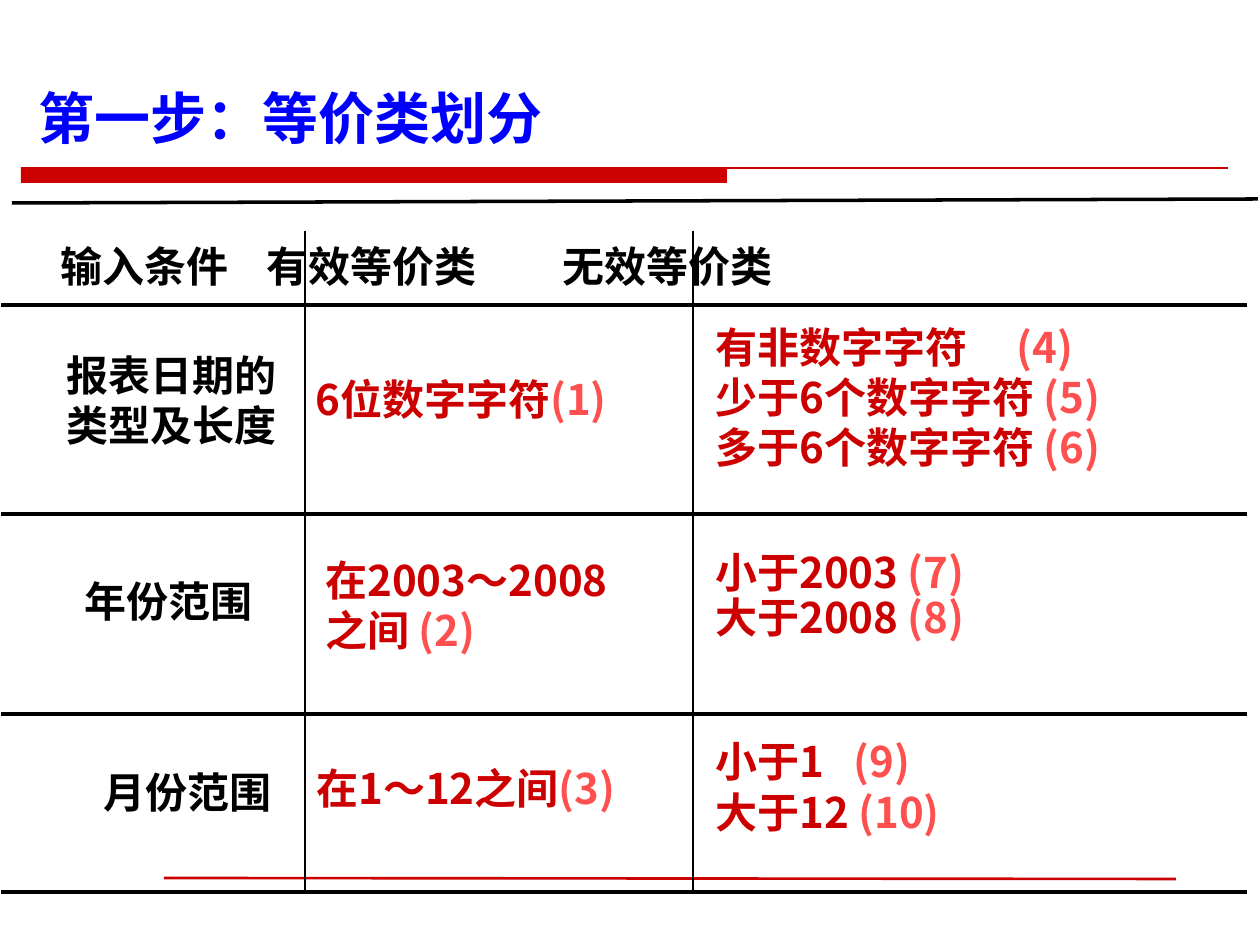
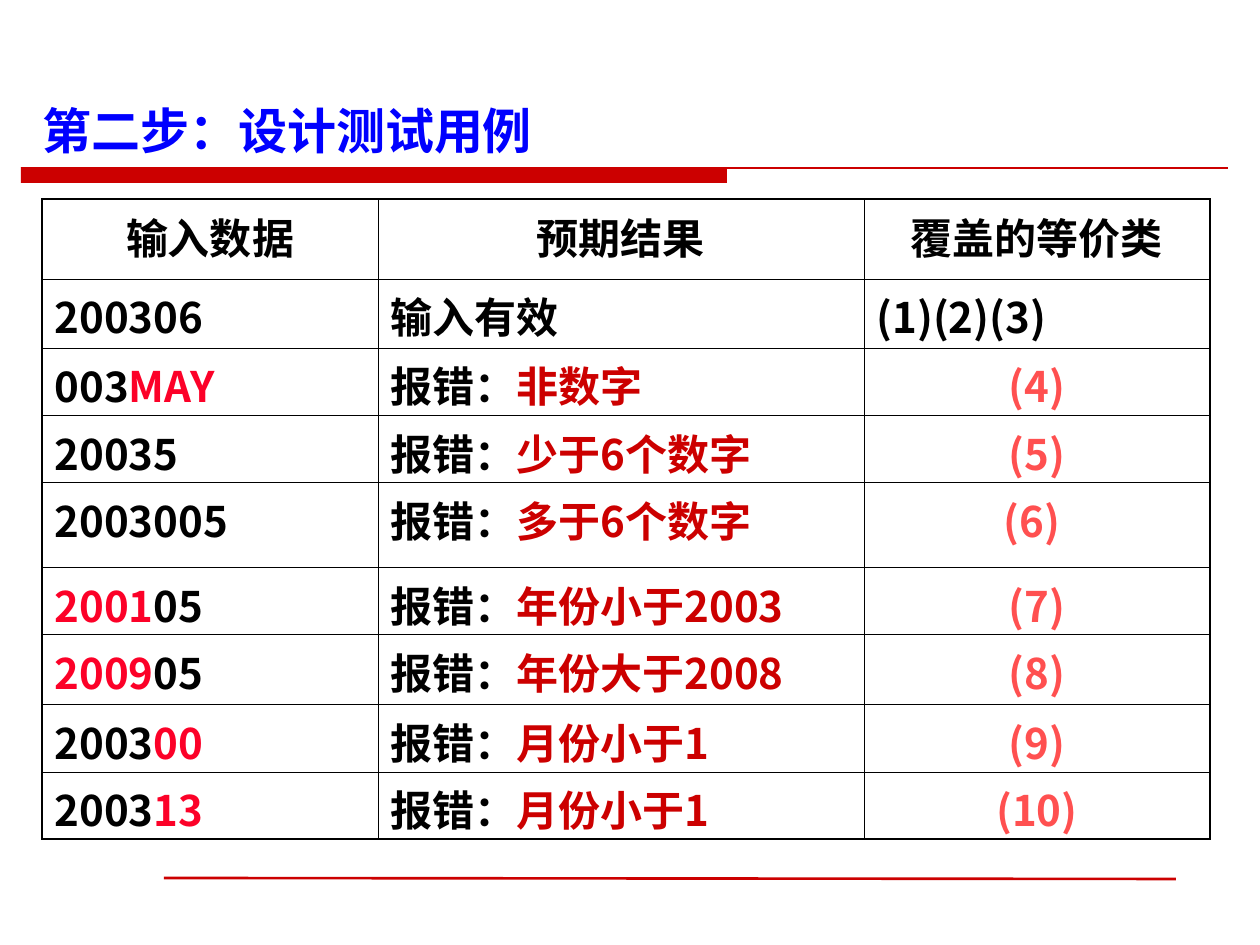
from lxml import etree
from pptx import Presentation
from pptx.dml.color import RGBColor
from pptx.enum.shapes import MSO_CONNECTOR as Connector, MSO_SHAPE as Shape
from pptx.enum.text import MSO_ANCHOR as Anchor, PP_ALIGN as Align
from pptx.oxml.ns import qn
from pptx.util import Emu, Inches, Pt

PX_PER_INCH = 126
SANS, COMIC = "Noto Sans CJK SC", "Comic Neue"
BLACK, BLUE, RED, CORAL, CRIMSON = "000000", "0000FF", "CC0000", "FF5050", "FC0128"
TITLE_ONLY = 5
NO_STYLE = "{2D5ABB26-0587-4C30-8999-92F81FD0307C}"

# Each block: left, top, width, paragraphs of (text, colour) spans
CONDITIONS = [
    (54, 343, 240, [[("报表日期的", BLACK)], [("类型及长度", BLACK)]]),
    (72, 569, 200, [[("年份范围", BLACK)]]),
    (91, 760, 200, [[("月份范围", BLACK)]]),
]
VALID_CLASSES = [
    (303, 367, 443, [[("6位数字字符", RED), ("(1)", CORAL)]]),
    (313, 548, 390, [[("在2003～2008", RED)], [("之间 ", RED), ("(2)", CORAL)]]),
    (304, 756, 400, [[("在1～12之间", RED), ("(3)", CORAL)]]),
]

TEST_CASES = [
    ([("200306", BLACK)], "输入有效", "", "(1)(2)(3)"),
    ([("003", BLACK), ("MAY", CRIMSON)], "报错：", "非数字", "(4)"),
    ([("20035", BLACK)], "报错：", "少于6个数字", "(5)"),
    ([("2003005", BLACK)], "报错：", "多于6个数字", "(6) "),
    ([("2001", CRIMSON), ("05", BLACK)], "报错：", "年份小于2003", "(7)"),
    ([("2009", CRIMSON), ("05", BLACK)], "报错：", "年份大于2008", "(8)"),
    ([("2003", BLACK), ("00", CRIMSON)], "报错：", "月份小于1", "(9)"),
    ([("2003", BLACK), ("13", CRIMSON)], "报错：", "月份小于1", "(10)"),
]
COLUMN_WIDTHS = [336, 486, 346]
ROW_HEIGHTS = [80, 69, 65, 63, 85, 67, 70, 67, 67]


def px(length):
    return Emu(round(length * 914400 / PX_PER_INCH))


def color(hex_code):
    return RGBColor.from_string(hex_code)


def add_span(para, text, hex_code, size=24, font=SANS):
    span = para.add_run()
    span.text = text
    span.font.size = Pt(size)
    span.font.bold = True
    span.font.name = font
    span.font.color.rgb = color(hex_code)
    east_asian = etree.SubElement(span._r.get_or_add_rPr(), qn("a:ea"))
    east_asian.set("typeface", SANS)


def set_tabs(para, stops):
    tab_list = etree.SubElement(para._p.get_or_add_pPr(), qn("a:tabLst"))
    for stop in stops:
        etree.SubElement(tab_list, qn("a:tab"), pos=str(px(stop)), algn="l")


def set_frame(frame):
    frame.word_wrap = True
    frame.vertical_anchor = Anchor.TOP
    frame.margin_left = frame.margin_right = Inches(0.1)
    frame.margin_top = frame.margin_bottom = Inches(0.05)


def add_text(page, left, top, width, paragraphs, tabs=(), spacings=()):
    """Place 24 pt paragraphs; spacings holds line spacing for the first ones."""
    height = 13 + 50 * len(paragraphs)
    box = page.shapes.add_textbox(px(left), px(top), px(width), px(height))
    frame = box.text_frame
    set_frame(frame)
    for index, spans in enumerate(paragraphs):
        para = frame.paragraphs[0] if index == 0 else frame.add_paragraph()
        if tabs:
            set_tabs(para, tabs)
        if index < len(spacings):
            para.line_spacing = spacings[index]
        for text, hex_code in spans:
            add_span(para, text, hex_code)


def add_line(page, x1, y1, x2, y2, hex_code=BLACK, width=2):
    line = page.shapes.add_connector(Connector.STRAIGHT, px(x1), px(y1), px(x2), px(y2))
    line.line.color.rgb = color(hex_code)
    line.line.width = Pt(width)
    etree.SubElement(line._element.spPr, qn("a:effectLst"))


def add_page(deck, title, left, top, width, height, size):
    """Start a slide with the red bar, the rules and a blue title."""
    page = deck.slides.add_slide(deck.slide_layouts[TITLE_ONLY])
    bar = page.shapes.add_shape(Shape.RECTANGLE, px(21), px(167), px(706), px(16))
    bar.shadow.inherit = False
    bar.fill.solid()
    bar.fill.fore_color.rgb = color(RED)
    bar.line.fill.background()
    add_line(page, 21, 168, 1228, 168, RED, 0.75)
    add_line(page, 164, 878, 1176, 879, RED, 1.5)

    heading = page.shapes.title
    heading.left, heading.top = px(left), px(top)
    heading.width, heading.height = px(width), px(height)
    set_frame(heading.text_frame)
    para = heading.text_frame.paragraphs[0]
    para.alignment = Align.LEFT
    add_span(para, title, BLUE, size)
    return page


def set_borders(cell, **widths):
    """Draw black cell edges; keys are L, R, T, B and values are points."""
    properties = cell._tc.get_or_add_tcPr()
    for index, (side, width) in enumerate(widths.items()):
        edge = etree.Element(qn(f"a:ln{side}"), w=str(Pt(width)))
        fill = etree.SubElement(edge, qn("a:solidFill"))
        etree.SubElement(fill, qn("a:srgbClr"), val=BLACK)
        properties.insert(index, edge)


def fill_cell(cell, spans, alignment):
    """Write (text, colour, font) spans into a cell without a fill."""
    cell.fill.background()
    cell.margin_left = cell.margin_right = Inches(0.1)
    cell.margin_top, cell.margin_bottom = Inches(0.05), 0
    para = cell.text_frame.paragraphs[0]
    para.alignment = alignment
    for text, hex_code, font in spans:
        add_span(para, text, hex_code, font=font)


def case_cells(data, result, reason, classes):
    """Turn a test case into three (spans, alignment) cells."""
    is_error = bool(reason)
    outcome = [(result, BLACK, COMIC if is_error else SANS)]
    if is_error:
        outcome.append((reason, RED, SANS))
    covered = [(classes, CORAL if is_error else BLACK, SANS)]
    return [
        ([(text, hex_code, SANS) for text, hex_code in data], Align.LEFT),
        (outcome, Align.LEFT),
        (covered, Align.CENTER if is_error else Align.LEFT),
    ]


def add_case_table(page):
    headers = ["输入数据", "预期结果", "覆盖的等价类"]
    rows = [[([(text, BLACK, COMIC)], Align.CENTER) for text in headers]]
    rows += [case_cells(*case) for case in TEST_CASES]
    last_row, last_column = len(rows) - 1, len(headers) - 1
    holder = page.shapes.add_table(
        len(rows), len(headers), px(42), px(199),
        px(sum(COLUMN_WIDTHS)), px(sum(ROW_HEIGHTS)))
    table = holder.table
    table.first_row = table.horz_banding = False
    table._tbl.tblPr.find(qn("a:tableStyleId")).text = NO_STYLE
    for column, width in zip(table.columns, COLUMN_WIDTHS):
        column.width = px(width)
    for row, height in zip(table.rows, ROW_HEIGHTS):
        row.height = px(height)

    def edge(is_outer):
        return 1.08 if is_outer else 0.45

    for r, cells in enumerate(rows):
        for c, (spans, alignment) in enumerate(cells):
            cell = table.cell(r, c)
            fill_cell(cell, spans, alignment)
            set_borders(cell, L=edge(c == 0), R=edge(c == last_column),
                        T=edge(r == 0), B=edge(r == last_row))


def build_classes_page(deck):
    page = add_page(deck, "第一步：等价类划分", 26, 77, 540, 79, 32)
    add_text(page, 48, 234, 1192,
             [[("输入条件\t有效等价类\t无效等价类", BLACK)]], tabs=[206, 502])
    for block in CONDITIONS + VALID_CLASSES:
        add_text(page, *block)

    add_text(page, 703, 315, 546, [
        [("有非数字字符\t", RED), ("(4)", CORAL)],
        [("少于6个数字字符 ", RED), ("(5)", CORAL)],
        [("多于6个数字字符 ", RED), ("(6)", CORAL)],
    ], tabs=[301])
    add_text(page, 703, 546, 504, [
        [("小于2003 ", RED), ("(7)", CORAL)],
        [("大于2008 ", RED), ("(8)", CORAL)],
    ], spacings=[0.9, 0.9])
    add_text(page, 703, 735, 410, [
        [("小于1\t", RED), ("(9)", CORAL)],
        [("大于12 ", RED), ("(10)", CORAL)],
    ], tabs=[138], spacings=[0.9])

    add_line(page, 12, 203, 1258, 199)
    for y in (305, 514, 714, 892):
        add_line(page, 1, y, 1247, y)
    for x in (305, 693):
        add_line(page, x, 231, x, 892, width=1)


def build_cases_page(deck):
    page = add_page(deck, "第二步：设计测试用例", 30, 94, 1230, 71, 28)
    add_case_table(page)


def main():
    deck = Presentation()
    deck.slide_width, deck.slide_height = Inches(10), Inches(7.5)
    build_classes_page(deck)
    build_cases_page(deck)
    deck.save("out.pptx")


if __name__ == "__main__":
    main()
